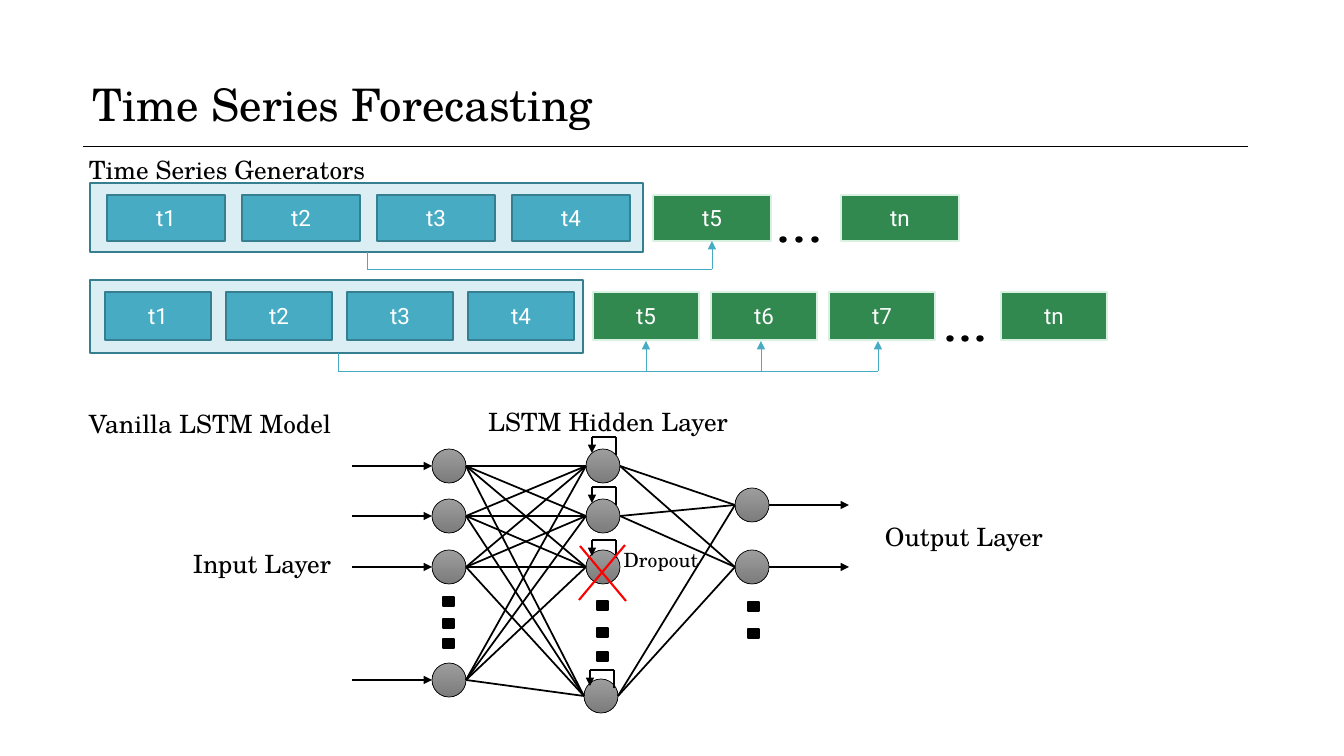
import itertools

import pptx
import pptx.dml.color
import pptx.enum.shapes
import pptx.enum.text
import pptx.oxml
import pptx.oxml.ns
import pptx.util

RGB = pptx.dml.color.RGBColor
BLACK = RGB(0x00, 0x00, 0x00)
WHITE = RGB(0xFF, 0xFF, 0xFF)
RED = RGB(0xFF, 0x00, 0x00)
BLUE = RGB(0x47, 0xAC, 0xC3)
DARK_BLUE = RGB(0x35, 0x7F, 0x90)
PALE_BLUE = RGB(0xDA, 0xEE, 0xF3)
GREEN = RGB(0x31, 0x89, 0x50)
PALE_GREEN = RGB(0xD9, 0xF1, 0xE1)
LIGHT_GRAY = RGB(0x9D, 0x9D, 0x9D)
DARK_GRAY = RGB(0x7C, 0x7C, 0x7C)

SHAPE = pptx.enum.shapes.MSO_SHAPE
ALIGN = pptx.enum.text.PP_ALIGN
ANCHOR = pptx.enum.text.MSO_ANCHOR
SERIF = "TeX Gyre Schola"
SANS = "Roboto"
EMU_PER_INCH = 914400
PX_PER_INCH = 100.8


def px(*lengths):
    return [round(length * EMU_PER_INCH / PX_PER_INCH) for length in lengths]


def write(frame, text, size=18, font=SERIF, color=BLACK, align=ALIGN.LEFT,
          anchor=ANCHOR.TOP, spacing=1.0, before=0):
    frame.word_wrap = True
    frame.vertical_anchor = anchor
    para = frame.paragraphs[0]
    para.alignment = align
    para.line_spacing = spacing
    para.space_before = pptx.util.Pt(before)
    span = para.add_run()
    span.text = text
    span.font.size = pptx.util.Pt(size)
    span.font.name = font
    span.font.color.rgb = color


class Canvas:
    """Draws styled elements on one slide, with lengths in px."""

    def __init__(self, page):
        self.shapes = page.shapes

    def label(self, text, left, top, width, height, **style):
        box = self.shapes.add_textbox(*px(left, top, width, height))
        write(box.text_frame, text, **style)

    def shape(self, kind, left, top, width, height, fill=BLACK, line=BLACK, weight=1.0):
        item = self.shapes.add_shape(kind, *px(left, top, width, height))
        item.shadow.inherit = False
        item.fill.solid()
        item.fill.fore_color.rgb = fill
        item.line.color.rgb = line
        item.line.width = pptx.util.Pt(weight)
        return item

    def tile(self, text, left, top, width, height, fill, line):
        box = self.shape(SHAPE.RECTANGLE, left, top, width, height, fill, line)
        write(box.text_frame, text, size=16, font=SANS, color=WHITE,
              align=ALIGN.CENTER, anchor=ANCHOR.MIDDLE)

    def neuron(self, x, y, radius):
        node = self.shape(SHAPE.OVAL, x - radius, y - radius, 2 * radius, 2 * radius, weight=0.5)
        node.fill.gradient()
        node.fill.gradient_angle = 270
        for stop, color in zip(node.fill.gradient_stops, (LIGHT_GRAY, DARK_GRAY)):
            stop.color.rgb = color

    def line(self, start, end, color=BLACK, weight=1.25, arrow=False):
        link = self.shapes.add_connector(
            pptx.enum.shapes.MSO_CONNECTOR.STRAIGHT, *px(*start, *end))
        link.line.color.rgb = color
        link.line.width = pptx.util.Pt(weight)
        properties = link._element.spPr
        if arrow:
            outline = properties.find(pptx.oxml.ns.qn("a:ln"))
            outline.append(pptx.oxml.parse_xml(
                f'<a:tailEnd {pptx.oxml.ns.nsdecls("a")} type="triangle"/>'))
        properties.append(pptx.oxml.parse_xml(
            f'<a:effectLst {pptx.oxml.ns.nsdecls("a")}/>'))

    def route(self, *points, **style):
        """Join the points with straight lines, the last one ending in an arrow."""
        for number, (start, end) in enumerate(itertools.pairwise(points), 2):
            self.line(start, end, arrow=number == len(points), **style)

    def series(self, window, tile_size, tile_top, inputs, targets, last_left, dots):
        """Draw a window of inputs, its targets, an ellipsis and the last step.

        inputs, targets and dots each give (left, step, count).
        """
        self.shape(SHAPE.RECTANGLE, *window, PALE_BLUE, DARK_BLUE)
        step_number = 1
        for (left, step, count), fill, line in (
                (inputs, BLUE, DARK_BLUE), (targets, GREEN, PALE_GREEN)):
            for i in range(count):
                self.tile(f"t{step_number}", left + i * step, tile_top, *tile_size, fill, line)
                step_number += 1
        self.tile("tn", last_left, tile_top, *tile_size, GREEN, PALE_GREEN)
        left, step, count = dots
        for i in range(count):
            self.shape(SHAPE.OVAL, left + i * step, tile_top + tile_size[1] - 4, 6, 5)


def draw_generators(canvas):
    blue_line = {"color": BLUE, "weight": 0.5}
    canvas.series((90, 183, 553, 69), (118, 46), 195, (107, 135, 4), (653, 0, 1),
                  841, (780, 16, 3))
    canvas.route((367, 252), (367, 269), (712, 269), (712, 241), **blue_line)

    canvas.series((90, 280, 493, 73), (106, 48), 292, (105, 121, 4), (593, 118, 3),
                  1001, (947, 15, 3))
    canvas.route((338, 353), (338, 371), (878, 371), (878, 341), **blue_line)
    for x in (646, 761):
        canvas.route((x, 371), (x, 341), **blue_line)


def draw_network(canvas):
    radius = 17
    inputs = [(449, y) for y in (466, 516, 567, 680)]
    hidden = [(603, 466), (603, 516), (603, 567), (601, 696)]
    outputs = [(752, y) for y in (505, 567)]
    dropped = hidden[2]
    for x, y in inputs + hidden + outputs:
        canvas.neuron(x, y, radius)

    for left, tops in ((443, (597, 619, 639)), (597, (601, 628, 652)), (748, (602, 629))):
        for top in tops:
            canvas.shape(SHAPE.RECTANGLE, left, top, 11, 9)

    active = [node for node in hidden if node != dropped]
    edges = itertools.chain(itertools.product(inputs, hidden),
                            itertools.product(active, outputs))
    for (x1, y1), (x2, y2) in edges:
        canvas.line((x1 + radius, y1), (x2 - radius, y2))

    reach = 80
    for x, y in inputs:
        canvas.line((x - radius - reach, y), (x - radius, y), arrow=True)
    for x, y in outputs:
        canvas.line((x + radius, y), (x + radius + reach, y), arrow=True)

    for (x, _), top in zip(hidden, (437, 487, 540, 670)):
        canvas.route((x + 13, top + 18), (x + 13, top), (x - 11, top), (x - 11, top + 16))

    canvas.line((580, 546), (626, 601), color=RED, weight=1.5)
    canvas.line((625, 545), (579, 600), color=RED, weight=1.5)


def main():
    deck = pptx.Presentation()
    deck.slide_width, deck.slide_height = px(1344, 756)
    canvas = Canvas(deck.slides.add_slide(deck.slide_layouts[6]))

    canvas.label("Time Series Generators", 79, 146, 1176, 327, spacing=1.1, before=10)
    canvas.label("Time Series Forecasting", 83, 53, 1117, 82, size=32,
                 anchor=ANCHOR.BOTTOM, spacing=1.1)
    canvas.line((83, 146), (1248, 146), weight=0.5)
    draw_generators(canvas)

    canvas.label("Vanilla LSTM Model", 79, 403, 282, 40)
    draw_network(canvas)
    canvas.label("Input Layer", 181, 543, 162, 40, align=ALIGN.CENTER)
    canvas.label("LSTM Hidden Layer", 478, 401, 260, 40, align=ALIGN.CENTER)
    canvas.label("Output Layer", 834, 516, 260, 40, align=ALIGN.CENTER)
    canvas.label("Dropout", 609, 543, 104, 34, size=14, align=ALIGN.CENTER)
    deck.save("out.pptx")


if __name__ == "__main__":
    main()
